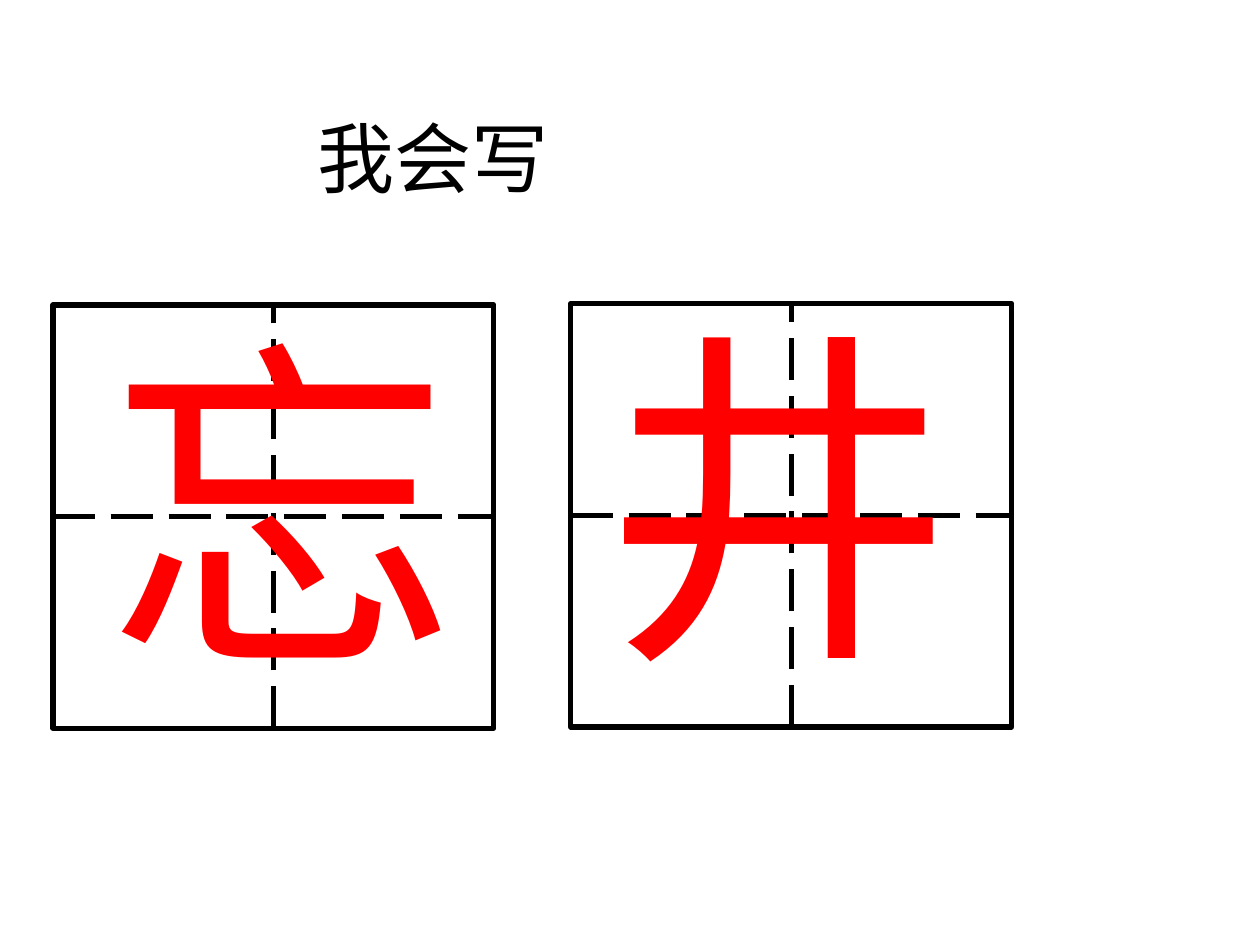
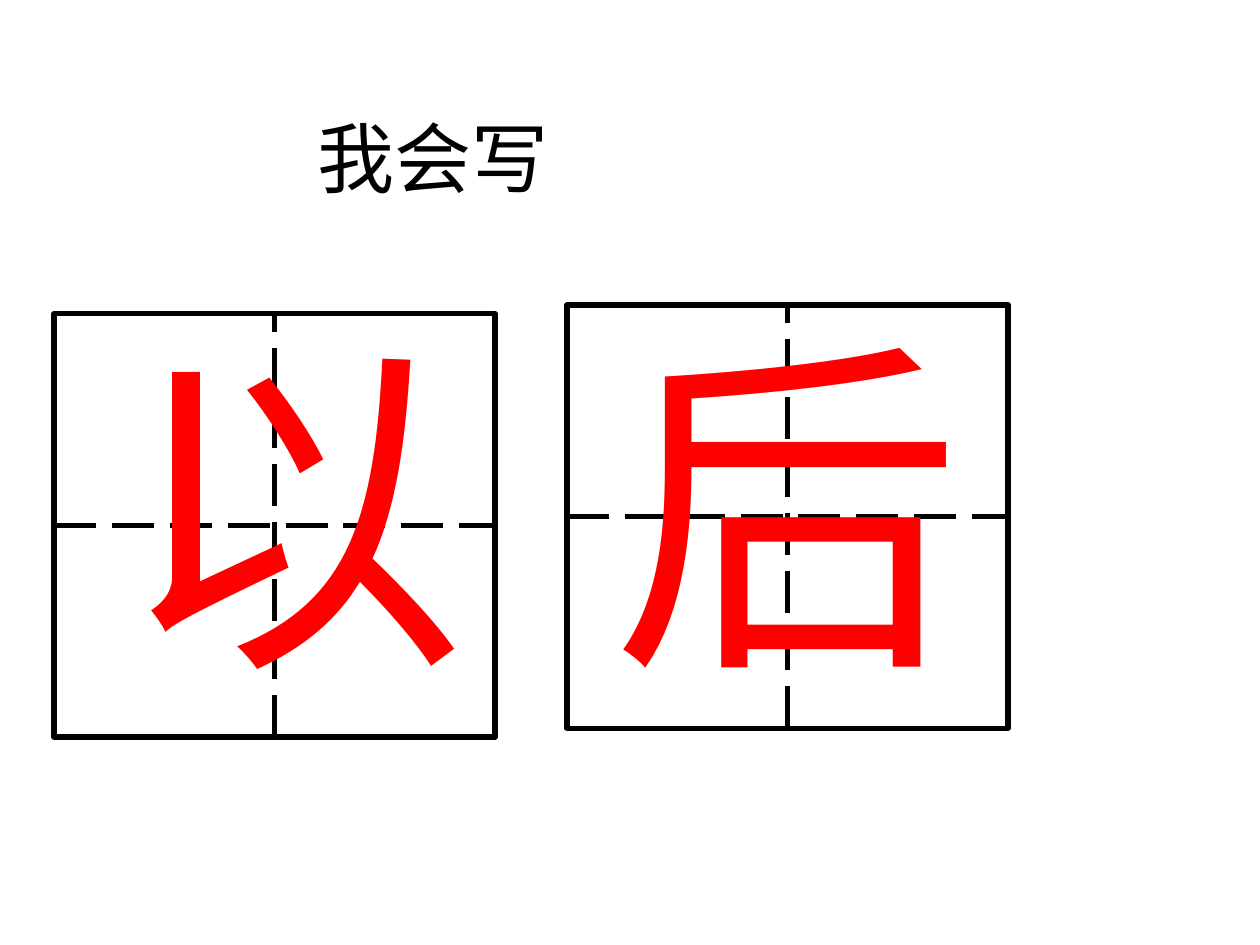
from pptx import Presentation
from pptx.dml.color import RGBColor
from pptx.enum.dml import MSO_LINE as Dash
from pptx.enum.shapes import MSO_CONNECTOR as Link, MSO_SHAPE as Shape
from pptx.enum.text import MSO_AUTO_SIZE as Fit
from pptx.oxml.ns import qn
from pptx.util import Inches, Pt

BLACK = RGBColor(0, 0, 0)
RED = RGBColor(255, 0, 0)
FONT = "Times New Roman"
CELL_W, CELL_H = 3.5, 3.36
TOP, LEFT, BOTTOM, RIGHT = range(4)

# Each page: (character, cell corner, character box corner, box width, wrap)
PAGES = [
    [("忘", (0.42, 2.42), (0.75, 2.25), 2.98, False),
     ("井", (4.53, 2.41), (4.69, 2.18), 3.08, True)],
    [("以", (0.43, 2.49), (0.83, 2.25), 2.98, False),
     ("后", (4.5, 2.42), (4.76, 2.25), 3.08, True)],
]


def add_text(slide, text, spot, width, height, size, color, wrap=True):
    x, y = spot
    box = slide.shapes.add_textbox(
        Inches(x), Inches(y), Inches(width), Inches(height))
    frame = box.text_frame
    frame.word_wrap = wrap
    frame.auto_size = Fit.SHAPE_TO_FIT_TEXT
    frame.text = text
    font = frame.paragraphs[0].runs[0].font
    font.name, font.size = FONT, Pt(size)
    font.color.rgb = color


def set_line(item):
    item.line.color.rgb = BLACK
    item.line.width = Pt(3)


def add_guide(group, frame, start, end):
    """Join the middles of two sides of the frame with a dashed line."""
    guide = group.shapes.add_connector(Link.STRAIGHT, 0, 0, 0, 0)
    guide.begin_connect(frame, start)
    guide.end_connect(frame, end)
    set_line(guide)
    guide.line.dash_style = Dash.LONG_DASH
    props = guide._element.spPr
    props.append(props.makeelement(qn("a:effectLst"), {}))


def add_cell(slide, spot):
    """Draw a writing square with its cross of guide lines."""
    x, y = spot
    group = slide.shapes.add_group_shape()
    frame = group.shapes.add_shape(
        Shape.RECTANGLE, Inches(x), Inches(y), Inches(CELL_W), Inches(CELL_H))
    frame.shadow.inherit = False
    frame.fill.background()
    set_line(frame)
    add_guide(group, frame, LEFT, RIGHT)
    add_guide(group, frame, BOTTOM, TOP)


def main():
    deck = Presentation()
    deck.slide_width, deck.slide_height = Inches(10), Inches(7.5)
    for page in PAGES:
        slide = deck.slides.add_slide(deck.slide_layouts[6])
        add_text(slide, "我会写", (2.42, 0.83), 2.5, 0.84, 44, BLACK)
        for char, cell, spot, width, wrap in page:
            add_cell(slide, cell)
            add_text(slide, char, spot, width, 3.44, 200, RED, wrap)
    deck.save("out.pptx")


if __name__ == "__main__":
    main()
